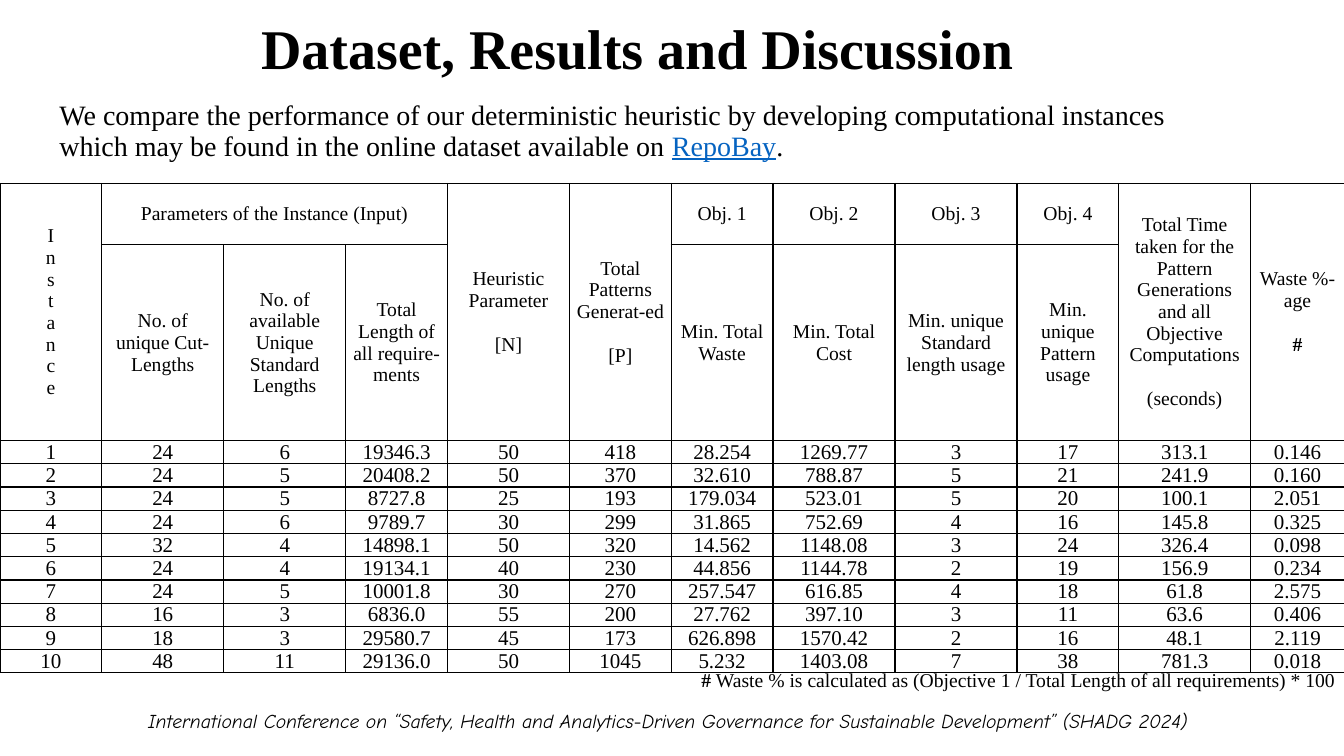
from lxml.etree import SubElement as Sub
from pptx import Presentation as Deck
from pptx.dml.color import RGBColor as Rgb
from pptx.enum.text import MSO_ANCHOR as Anchor, MSO_AUTO_SIZE as Fit, PP_ALIGN as Align
from pptx.oxml.ns import qn
from pptx.util import Inches, Pt

WIDE, HIGH = Inches(13.33), Inches(7.5)
NARROW, BROAD = 7.57, 9.08
COLS = [NARROW, BROAD, BROAD, NARROW, BROAD, NARROW,
        NARROW, BROAD, BROAD, NARROW, 9.8, 7]
ROWS = [8.13, 21.07] + [3.07] * 10

# Header cells: row, column, rows spanned, columns spanned, text.
# "|" starts a new paragraph one line lower; "\n" is a line break.
HEADS = [
    (0, 0, 2, 1, "\n".join("Instance")),
    (0, 1, 1, 3, "Parameters of the Instance (Input)"),
    (0, 4, 2, 1, "Heuristic Parameter|[N]"),
    (0, 5, 2, 1, "Total Patterns Generat-ed|[P]"),
    (0, 6, 1, 1, "Obj. 1"),
    (0, 7, 1, 1, "Obj. 2"),
    (0, 8, 1, 1, "Obj. 3"),
    (0, 9, 1, 1, "Obj. 4"),
    (0, 10, 2, 1, "Total Time taken for the Pattern Generations and all "
                  "Objective Computations|(seconds)"),
    (0, 11, 2, 1, "Waste %-age|#"),
    (1, 1, 1, 1, "No. of unique Cut-Lengths"),
    (1, 2, 1, 1, "No. of available Unique Standard Lengths"),
    (1, 3, 1, 1, "Total Length of all require-ments"),
    (1, 6, 1, 1, "Min. Total Waste"),
    (1, 7, 1, 1, "Min. Total Cost"),
    (1, 8, 1, 1, "Min. unique Standard length usage"),
    (1, 9, 1, 1, "Min. unique Pattern usage"),
]
DATA = """\
1 24 6 19346.3 50 418 28.254 1269.77 3 17 313.1 0.146
2 24 5 20408.2 50 370 32.610 788.87 5 21 241.9 0.160
3 24 5 8727.8 25 193 179.034 523.01 5 20 100.1 2.051
4 24 6 9789.7 30 299 31.865 752.69 4 16 145.8 0.325
5 32 4 14898.1 50 320 14.562 1148.08 3 24 326.4 0.098
6 24 4 19134.1 40 230 44.856 1144.78 2 19 156.9 0.234
7 24 5 10001.8 30 270 257.547 616.85 4 18 61.8 2.575
8 16 3 6836.0 55 200 27.762 397.10 3 11 63.6 0.406
9 18 3 29580.7 45 173 626.898 1570.42 2 16 48.1 2.119
10 48 11 29136.0 50 1045 5.232 1403.08 7 38 781.3 0.018"""


def hue(code):
    return Rgb.from_string(code)


def area(x, y, w, h):
    """Turn percentages of the slide into left, top, width and height."""
    return [int(part * full / 100)
            for part, full in zip((x, y, w, h), (WIDE, HIGH, WIDE, HIGH))]


class Page:
    """One slide and the style its elements share."""
    face, ink, paper = "Times New Roman", "000000", "FFFFFF"

    def __init__(self, deck):
        self.slide = deck.slides.add_slide(deck.slide_layouts[5])

    def run(self, para, text, size, bold=False, italic=False,
            line=False, color=ink, face=face):
        run = para.add_run()
        run.text = text
        font = run.font
        font.name, font.size, font.bold = face, Pt(size), bold
        font.italic, font.underline = italic, line
        font.color.rgb = hue(color)

    def frame(self, shape, align, lead, anchor):
        """Prepare a shape's text and return its first paragraph."""
        text = shape.text_frame
        text.word_wrap, text.auto_size = True, Fit.NONE
        text.vertical_anchor = anchor
        para = text.paragraphs[0]
        para.alignment, para.line_spacing = align, lead
        return para

    def title(self, place, text, size):
        shape = self.slide.shapes.title
        shape.left, shape.top, shape.width, shape.height = area(*place)
        para = self.frame(shape, Align.CENTER, 0.9, Anchor.TOP)
        self.run(para, text, size, bold=True)

    def note(self, place, runs, size, align=Align.LEFT, lead=1.0,
             anchor=Anchor.TOP):
        """Add a text box; runs holds pairs of text and run options."""
        box = self.slide.shapes.add_textbox(*area(*place))
        para = self.frame(box, align, lead, anchor)
        for text, look in runs:
            self.run(para, text, size, **look)
        return para

    def grid(self, x, y, cols, rows):
        shape = self.slide.shapes.add_table(
            len(rows), len(cols), *area(x, y, sum(cols), sum(rows)))
        table = shape.table
        table.first_row = table.horz_banding = False
        for col, part in zip(table.columns, cols):
            col.width = int(part * WIDE / 100)
        for row, part in zip(table.rows, rows):
            row.height = int(part * HIGH / 100)
        for cell in table.iter_cells():
            cell.margin_left = cell.margin_right = Inches(0.07)
            cell.margin_top = cell.margin_bottom = 0
            cell.vertical_anchor = Anchor.MIDDLE
            self.edge(cell)
            cell.fill.solid()
            cell.fill.fore_color.rgb = hue(self.paper)
        return table

    def edge(self, cell):
        """Draw a thin line on all four sides of a cell."""
        props = cell._tc.get_or_add_tcPr()
        for side in ("a:lnL", "a:lnR", "a:lnT", "a:lnB"):
            line = Sub(props, qn(side), w=str(Pt(1)))
            fill = Sub(line, qn("a:solidFill"))
            Sub(fill, qn("a:srgbClr"), val=self.ink)

    def cell(self, cell, text, size):
        frame = cell.text_frame
        for i, part in enumerate(text.split("|")):
            para = frame.add_paragraph() if i else frame.paragraphs[0]
            para.alignment = Align.CENTER
            if i:
                para.space_before = Pt(16)
            for j, piece in enumerate(part.split("\n")):
                if j:
                    para.add_line_break()
                self.run(para, piece, size, bold=piece == "#")


def main():
    deck = Deck()
    deck.slide_width, deck.slide_height = WIDE, HIGH
    page = Page(deck)

    page.note((0, 92.67, 100, 5.33), [
        ("International Conference on “Safety, Health and Analytics-Driven "
         "Governance for Sustainable Development” (SHADG 2024) ",
         {"italic": True, "face": "Comic Neue"})],
        14, Align.CENTER, anchor=Anchor.MIDDLE)
    page.title((3.68, 2.13, 87.47, 11.6), "Dataset, Results and Discussion", 40)
    page.note((3.68, 12.8, 87.47, 11.6), [
        ("We compare the performance of our deterministic heuristic by "
         "developing computational instances which may be found in the "
         "online dataset available on ", {}),
        ("RepoBay", {"line": True, "color": "0563C1"}),
        (".", {})], 20, lead=0.9)

    table = page.grid(0, 24.27, COLS, ROWS)
    for row, col, down, over, text in HEADS:
        cell = table.cell(row, col)
        if down * over > 1:
            cell.merge(table.cell(row + down - 1, col + over - 1))
        page.cell(cell, text, 14)
    for row, line in enumerate(DATA.splitlines(), 2):
        for col, value in enumerate(line.split()):
            page.cell(table.cell(row, col), value, 15)

    foot = page.note((50.04, 87.2, 50.11, 4.67), [
        ("#", {"bold": True}),
        (" Waste % is calculated as (Objective 1 / Total Length of all "
         "requirements) * 100", {})], 14, Align.RIGHT, 1.15)
    foot.space_before, foot.space_after = Pt(6), Pt(12)
    deck.save("out.pptx")


if __name__ == "__main__":
    main()
